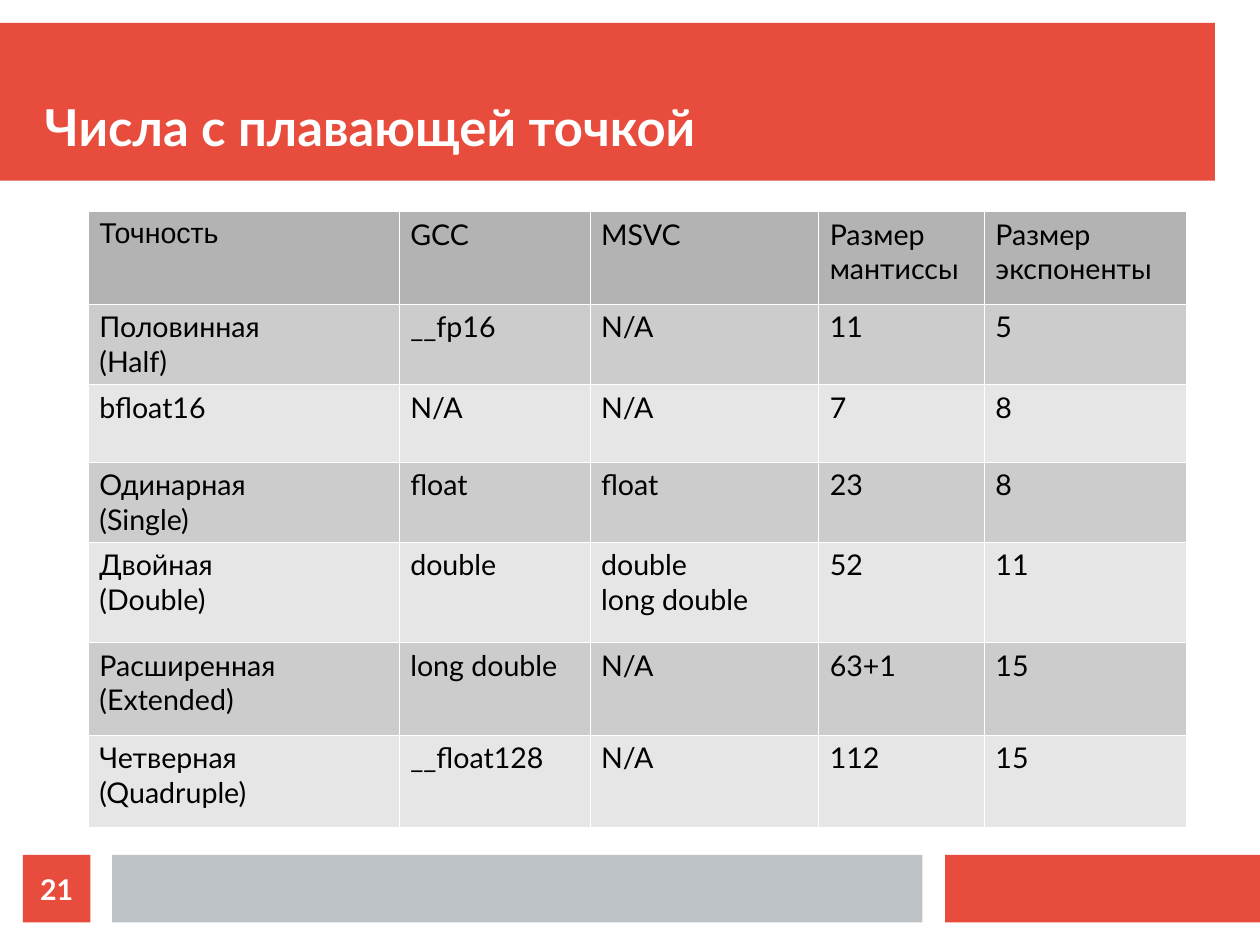
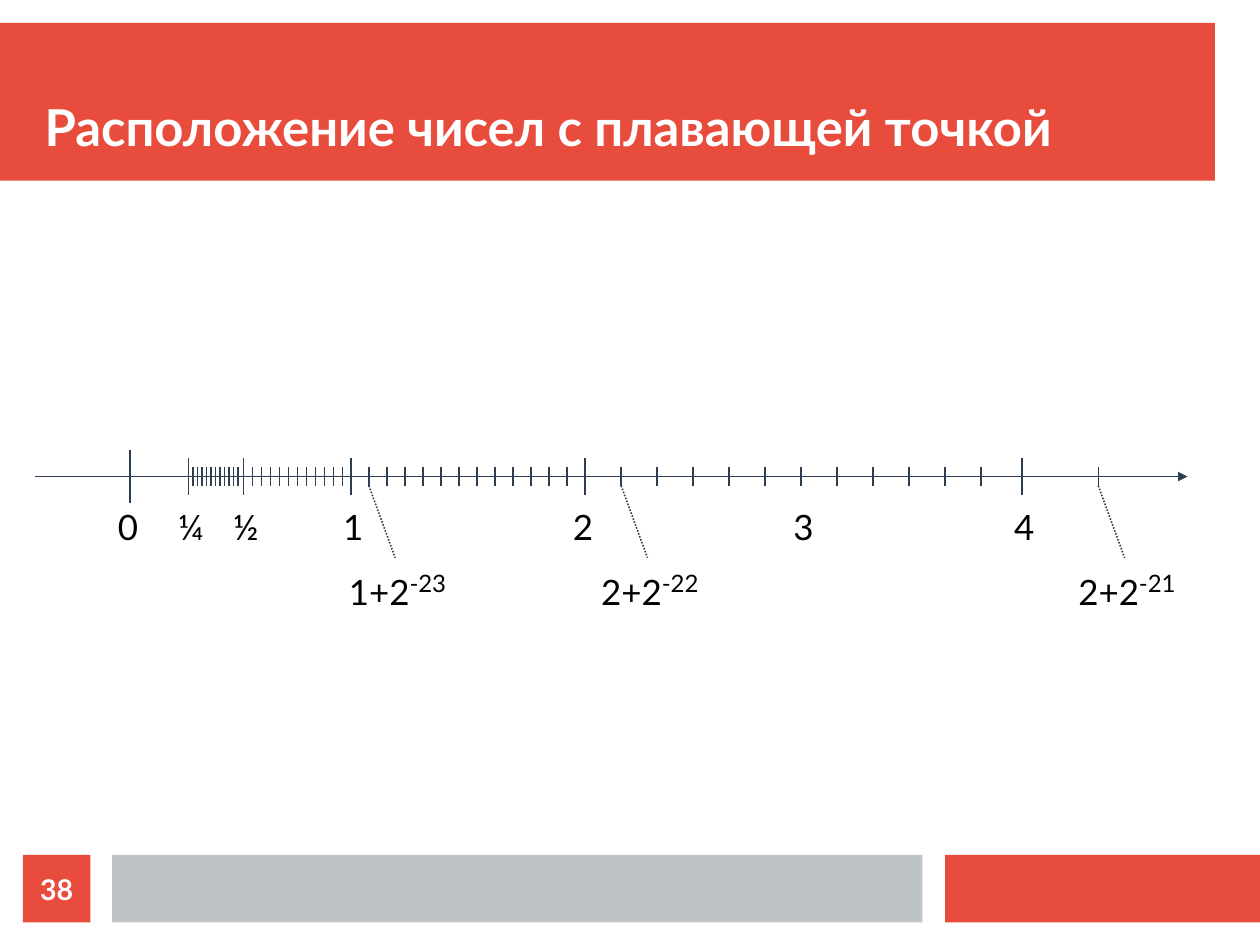
from lxml.etree import SubElement as Sub
from pptx import Presentation
from pptx.dml.color import RGBColor as RGB
from pptx.enum.dml import MSO_LINE as Dash
from pptx.enum.shapes import MSO_CONNECTOR as Conn, MSO_SHAPE as Form
from pptx.enum.text import MSO_ANCHOR as Anchor, PP_ALIGN as Align
from pptx.oxml.ns import qn
from pptx.util import Cm, Inches, Pt

RED = RGB(0xE7, 0x4C, 0x3C)
GREY = RGB(0xBD, 0xC3, 0xC7)
NAVY = RGB(0x2C, 0x3E, 0x50)
WHITE = RGB(0xFF, 0xFF, 0xFF)
BLACK = RGB(0, 0, 0)
HEAD = RGB(0xB3, 0xB3, 0xB3)
BANDS = RGB(0xCC, 0xCC, 0xCC), RGB(0xE6, 0xE6, 0xE6)
FONT = "Lato"
MM = 1 / 25.4

# Bands shared by all slides: box and colour
FRAME = [
    ((0, 0.2, 10.63, 1.38), RED),
    ((8.27, 7.48, 2.76, 0.59), RED),
    ((0.98, 7.48, 7.09, 0.59), GREY),
]

COLS = [2.72, 1.67, 2.0, 1.45, 1.77]
ROWS = [0.81, 0.7, 0.68, 0.7, 0.88, 0.81, 0.81]
CELLS = [
    ["Точность", "GCC", "MSVC", "Размер мантиссы", "Размер экспоненты"],
    ["Половинная\n(Half)", "__fp16", "N/A", "11", "5"],
    ["bfloat16", "N/A", "N/A", "7", "8"],
    ["Одинарная\n(Single)", "float", "float", "23", "8"],
    ["Двойная\n(Double)", "double", "double\nlong double", "52", "11"],
    ["Расширенная\n(Extended)", "long double", "N/A", "63+1", "15"],
    ["Четверная\n(Quadruple)", "__float128", "N/A", "112", "15"],
]

# Main marks: place on axis, half height, label, shift of label centre
MARKS = [
    (0.83, 0.23, "0", -0.02),
    (1.34, 0.16, "¼", 0.02),
    (1.82, 0.16, "½", 0.02),
    (2.76, 0.16, "1", 0.02),
    (4.81, 0.16, "2", -0.02),
    (6.7, 0.08, "3", 0.02),
    (8.63, 0.16, "4", 0.02),
]
# Small ticks: start, step in mm, count, first tick's label and exponent
SPANS = [
    (1.34, 1, 11, None, None),
    (1.82, 2, 11, None, None),
    (2.76, 4, 12, "1+2", "-23"),
    (4.81, 8, 11, "2+2", "-22"),
    (8.63, 17, 1, "2+2", "-21"),
]


def place(box):
    return [Inches(v) for v in box]


def write(frame, text, size=18, color=BLACK, font=FONT, bold=False,
          align=Align.LEFT, anchor=None, inset=None, wrap=True, sup=None):
    """Fill a text frame, one paragraph a line, with an optional exponent."""
    frame.word_wrap = wrap
    if anchor is not None:
        frame.vertical_anchor = anchor
    if inset is not None:
        frame.margin_left = frame.margin_right = Inches(inset)
        frame.margin_top = frame.margin_bottom = Inches(inset)
    for i, line in enumerate(text.split("\n")):
        para = frame.add_paragraph() if i else frame.paragraphs[0]
        para.alignment = align
        parts = [(line, size)] + ([(sup, 26)] if sup else [])
        for part, pts in parts:
            run = para.add_run()
            run.text = part
            run.font.size = Pt(pts)
            run.font.name = font
            run.font.bold = bold
            run.font.color.rgb = color
    if sup:
        run.font._element.set("baseline", "33000")


def block(slide, box, color):
    shape = slide.shapes.add_shape(Form.RECTANGLE, *place(box))
    shape.shadow.inherit = False
    shape.fill.solid()
    shape.fill.fore_color.rgb = color
    shape.line.fill.background()
    return shape


def stroke(slide, x1, y1, x2, y2, dash=None, arrow=False):
    line = slide.shapes.add_connector(Conn.STRAIGHT, *place((x1, y1, x2, y2)))
    line.line.color.rgb = NAVY
    line.line.width = Pt(1)
    if dash:
        line.line.dash_style = dash
    if arrow:
        Sub(line.line._get_or_add_ln(), qn("a:tailEnd"), type="triangle")
    Sub(line.element.spPr, qn("a:effectLst"))


def label(slide, mid, top, text, wide=0.35, sup=None):
    """Text centred on mid."""
    box = slide.shapes.add_textbox(*place((mid - wide / 2, top, wide, 0.39)))
    write(box.text_frame, text, size=22, align=Align.CENTER,
          anchor=Anchor.MIDDLE, inset=0, wrap=False, sup=sup)


def start(deck, title, page):
    """Add a slide with bands, title and page number."""
    slide = deck.slides.add_slide(deck.slide_layouts[5])
    for box, color in FRAME:
        block(slide, box, color)
    head = slide.shapes.title
    slide.shapes.element.append(head.element)  # title above its band
    head.left, head.top, head.width, head.height = place(
        (0.39, 0.39, 10.24, 0.98))
    write(head.text_frame, title, size=32, color=WHITE, bold=True,
          anchor=Anchor.BOTTOM, inset=0)
    badge = block(slide, (0.2, 7.48, 0.59, 0.59), RED)
    write(badge.text_frame, page, color=WHITE, bold=True,
          align=Align.CENTER, anchor=Anchor.MIDDLE, inset=0)
    return slide


def edge(cell):
    """Give a cell hairline white borders."""
    props = cell._tc.get_or_add_tcPr()
    for side in ("lnL", "lnR", "lnT", "lnB"):
        line = Sub(props, qn("a:" + side), w="720")
        fill = Sub(line, qn("a:solidFill"))
        Sub(fill, qn("a:srgbClr"), val=str(WHITE))


def grid(slide, box):
    """Table of number formats."""
    table = slide.shapes.add_table(len(ROWS), len(COLS), *place(box)).table
    table.first_row = table.horz_banding = False
    for col, wide in zip(table.columns, COLS):
        col.width = Inches(wide)
    for r, (row, high) in enumerate(zip(table.rows, ROWS)):
        row.height = Inches(high)
        for c, cell in enumerate(row.cells):
            edge(cell)
            cell.fill.solid()
            cell.fill.fore_color.rgb = BANDS[(r - 1) % 2] if r else HEAD
            write(cell.text_frame, CELLS[r][c],
                  font=FONT if r or c else "Arial")


def axis(slide, box):
    """Number line with ticks, labels and leaders."""
    left, top, wide, high = box
    mid = top + 0.23
    stroke(slide, left, mid, left + wide, mid, arrow=True)
    for at, half, text, shift in MARKS:
        x = left + at
        stroke(slide, x, mid - half, x, mid + half)
        label(slide, x + shift, mid + 0.24, text)
    for at, step, count, text, sup in SPANS:
        # The tick under the label 3 is already a main mark
        spots = [at + i * step * MM for i in range(1, count + 1)]
        for spot in spots:
            if all(abs(spot - mark[0]) > 0.02 for mark in MARKS):
                x = left + spot
                stroke(slide, x, mid - 0.08, x, mid + 0.08)
        if text:
            x = left + spots[0]
            stroke(slide, x, mid + 0.08, x + 0.23, mid + 0.71,
                   dash=Dash.ROUND_DOT)
            label(slide, x + 0.25, top + high - 0.39, text, wide=1, sup=sup)


def main():
    deck = Presentation()
    deck.slide_width, deck.slide_height = Cm(28), Cm(21)
    grid(start(deck, "Числа с плавающей точкой", "21"),
         (0.77, 1.85, 9.61, 5.37))
    axis(start(deck, "Расположение чисел с плавающей точкой", "38"),
         (0.31, 3.94, 10.08, 1.41))
    deck.save("out.pptx")


if __name__ == "__main__":
    main()
